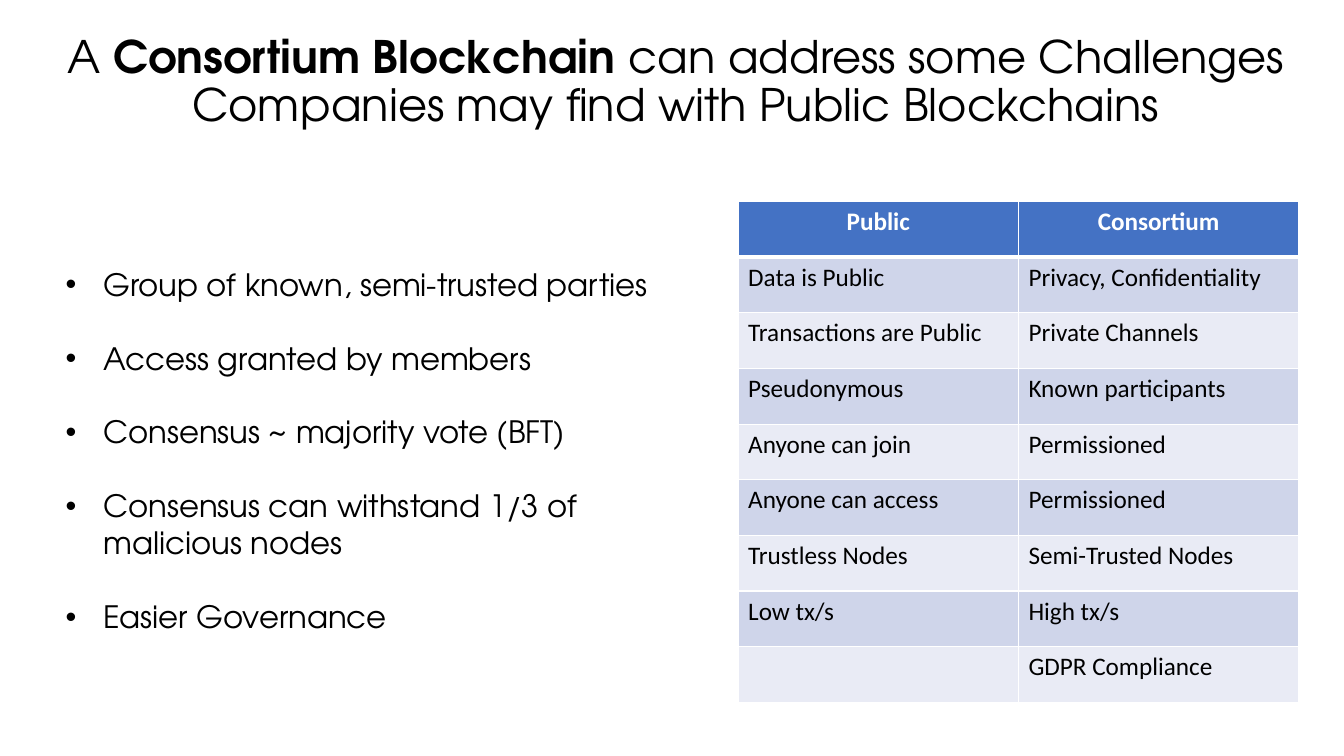
from dataclasses import dataclass

from lxml import etree
from pptx import Presentation
from pptx import util as u
from pptx.dml.color import RGBColor
from pptx.enum import text
from pptx.oxml import ns

PX = 9525  # EMU per px, 96 px to the inch
BODY_FONT = "TeX Gyre Adventor"
TABLE_FONT = "Calibri"
BLACK, WHITE = "000000", "FFFFFF"
HEADER_FILL = "4472C4"
BAND_FILLS = ("CFD5EA", "E9EBF5")
COLUMN_WIDTH, ROW_HEIGHT = 267, 53
INDENT = 36


@dataclass
class Area:
    left: int
    top: int
    width: int
    height: int

    def emu(self) -> list[int]:
        return [side * PX for side in (self.left, self.top, self.width, self.height)]


@dataclass
class Style:
    font: str
    size: int
    color: str = BLACK
    bold: bool = False


TITLE = (
    ("A ", False),
    ("Consortium Blockchain ", True),
    ("can address some Challenges Companies may find with Public Blockchains", False),
)
BULLETS = (
    "Group of known, semi-trusted parties",
    "Access granted by members",
    "Consensus ~ majority vote (BFT)",
    "Consensus can withstand 1/3 of malicious nodes",
    "Easier Governance",
)
COMPARISON = (
    ("Public", "Consortium"),
    ("Data is Public", "Privacy, Confidentiality"),
    ("Transactions are Public", "Private Channels"),
    ("Pseudonymous", "Known participants"),
    ("Anyone can join", "Permissioned"),
    ("Anyone can access", "Permissioned"),
    ("Trustless Nodes", "Semi-Trusted Nodes"),
    ("Low tx/s", "High tx/s"),
    ("", "GDPR Compliance"),
)


def rgb(color: str) -> RGBColor:
    return RGBColor.from_string(color)


def format_font(font, style: Style) -> None:
    font.name, font.size, font.bold = style.font, u.Pt(style.size), style.bold
    font.color.rgb = rgb(style.color)


def add_title(page, area: Area) -> None:
    box = page.shapes.title
    box.left, box.top, box.width, box.height = area.emu()
    frame = box.text_frame
    frame.word_wrap = True
    frame.auto_size = text.MSO_AUTO_SIZE.NONE
    frame.vertical_anchor = text.MSO_ANCHOR.TOP
    para = frame.paragraphs[0]
    para.alignment = text.PP_ALIGN.CENTER
    para.line_spacing = 0.9
    for words, bold in TITLE:
        span = para.add_run()
        span.text = words
        format_font(span.font, Style(BODY_FONT, 32, bold=bold))


def add_bullets(page, area: Area) -> None:
    frame = page.shapes.add_textbox(*area.emu()).text_frame
    frame.word_wrap = True
    frame.text = "\n".join(BULLETS)
    for para in frame.paragraphs:
        para.space_after = u.Pt(26.4)  # one line of 22 pt text
        format_font(para.runs[0].font, Style(BODY_FONT, 22))
        props = para._p.get_or_add_pPr()
        props.set("marL", str(INDENT * PX))
        props.set("indent", str(-INDENT * PX))
        etree.SubElement(props, ns.qn("a:buFont")).set("typeface", "Arial")
        etree.SubElement(props, ns.qn("a:buChar")).set("char", "•")


def set_borders(cell, bottom: int, top: int) -> None:
    props = cell._tc.get_or_add_tcPr()
    widths = {"lnL": 1, "lnR": 1, "lnT": top, "lnB": bottom}
    for place, (side, width) in enumerate(widths.items()):
        line = etree.Element(ns.qn(f"a:{side}"), w=str(u.Pt(width)))
        fill = etree.SubElement(line, ns.qn("a:solidFill"))
        etree.SubElement(fill, ns.qn("a:srgbClr")).set("val", WHITE)
        props.insert(place, line)


def add_comparison(page, area: Area) -> None:
    table = page.shapes.add_table(len(COMPARISON), 2, *area.emu()).table
    for column in table.columns:
        column.width = COLUMN_WIDTH * PX
    for row, labels in enumerate(COMPARISON):
        table.rows[row].height = ROW_HEIGHT * PX
        header = row == 0
        style = Style(TABLE_FONT, 18, WHITE if header else BLACK, header)
        for column, label in enumerate(labels):
            cell = table.cell(row, column)
            cell.fill.solid()
            cell.fill.fore_color.rgb = rgb(HEADER_FILL if header else BAND_FILLS[(row - 1) % 2])
            set_borders(cell, bottom=3 if header else 1, top=3 if row == 1 else 1)
            cell.text_frame.text = label
            para = cell.text_frame.paragraphs[0]
            para.alignment = text.PP_ALIGN.CENTER if header else text.PP_ALIGN.LEFT
            for span in para.runs:
                format_font(span.font, style)


def main() -> None:
    deck = Presentation()
    deck.slide_width, deck.slide_height = 1280 * PX, 720 * PX
    page = deck.slides.add_slide(deck.slide_layouts.get_by_name("Title Only"))
    add_title(page, Area(20, 28, 1248, 139))
    add_comparison(page, Area(703, 192, 2 * COLUMN_WIDTH, len(COMPARISON) * ROW_HEIGHT))
    add_bullets(page, Area(53, 248, 619, 365))
    deck.save("out.pptx")


if __name__ == "__main__":
    main()
